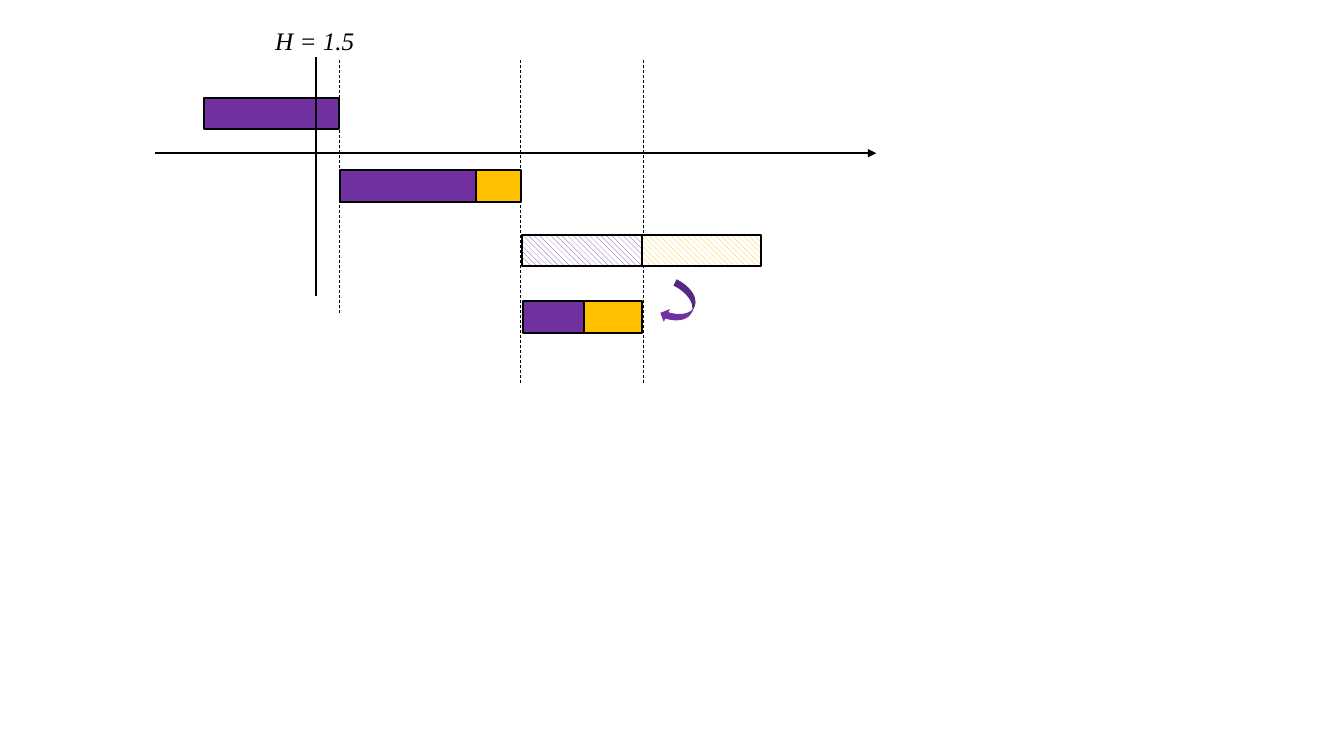
from dataclasses import dataclass

from lxml import etree
from pptx import Presentation
from pptx import util as u
from pptx.dml import color
from pptx.enum import dml, shapes, text
from pptx.oxml import ns

PURPLE, AMBER, BLACK, WHITE = "7030A0", "FFC000", "000000", "FFFFFF"
BAR_HEIGHT = 0.31
GUIDE_TOP = 0.6


@dataclass
class Segment:
    width: float
    colour: str


@dataclass
class Bar:
    left: float
    top: float
    segments: list[Segment]
    hatched: bool = False


@dataclass
class Rule:
    x1: float
    y1: float
    x2: float
    y2: float
    weight: float = 1.5
    dashed: bool = False
    arrow: bool = False


def rgb(value: str) -> color.RGBColor:
    return color.RGBColor.from_string(value)


def draw_bar(slide, bar: Bar) -> None:
    left = bar.left
    for segment in bar.segments:
        block = slide.shapes.add_shape(
            shapes.MSO_SHAPE.RECTANGLE, u.Inches(left), u.Inches(bar.top),
            u.Inches(segment.width), u.Inches(BAR_HEIGHT))
        block.shadow.inherit = False
        if bar.hatched:
            block.fill.patterned()
            block.fill.pattern = dml.MSO_PATTERN.WIDE_DOWNWARD_DIAGONAL
            block.fill.fore_color.rgb = rgb(segment.colour)
            block.fill.back_color.rgb = rgb(WHITE)
        else:
            block.fill.solid()
            block.fill.fore_color.rgb = rgb(segment.colour)
        block.line.color.rgb = rgb(BLACK)
        block.line.width = u.Pt(1.5)
        left += segment.width


def draw_rule(slide, rule: Rule) -> None:
    connector = slide.shapes.add_connector(
        shapes.MSO_CONNECTOR.STRAIGHT, u.Inches(rule.x1), u.Inches(rule.y1),
        u.Inches(rule.x2), u.Inches(rule.y2))
    connector.line.color.rgb = rgb(BLACK)
    connector.line.width = u.Pt(rule.weight)
    if rule.dashed:
        connector.line.dash_style = dml.MSO_LINE.DASH
    if rule.arrow:
        etree.SubElement(connector.line._get_or_add_ln(), ns.qn("a:tailEnd"),
                         type="triangle")
    etree.SubElement(connector._element.spPr, ns.qn("a:effectLst"))


def draw_threshold_label(slide) -> None:
    label = slide.shapes.add_textbox(
        u.Inches(2.63), u.Inches(0.2), u.Inches(0.99), u.Inches(0.4))
    frame = label.text_frame
    frame.word_wrap = False
    frame.auto_size = text.MSO_AUTO_SIZE.SHAPE_TO_FIT_TEXT
    paragraph = frame.paragraphs[0]
    paragraph.text = "H = 1.5"
    paragraph.font.name = "Times New Roman"
    paragraph.font.size = u.Pt(18)
    paragraph.font.italic = True
    paragraph.font.color.rgb = rgb(BLACK)


def draw_shrink_arrow(slide) -> None:
    arrow = slide.shapes.add_shape(
        shapes.MSO_SHAPE.CURVED_LEFT_ARROW, u.Inches(6.6), u.Inches(2.81),
        u.Inches(0.28), u.Inches(0.44))
    arrow.rotation = 25.8
    arrow.shadow.inherit = False
    arrow.fill.solid()
    arrow.fill.fore_color.rgb = rgb(PURPLE)
    arrow.line.fill.background()


BARS = [
    Bar(2.02, 0.97, [Segment(1.34, PURPLE)]),
    Bar(3.37, 1.69, [Segment(1.35, PURPLE), Segment(0.45, AMBER)]),
    Bar(5.18, 2.33, [Segment(1.19, PURPLE), Segment(1.18, AMBER)], hatched=True),
    Bar(5.19, 2.99, [Segment(0.6, PURPLE), Segment(0.58, AMBER)]),
]
GUIDES = [
    Rule(x, GUIDE_TOP, x, bottom, weight=0.5, dashed=True)
    for x, bottom in [(3.37, 3.12), (5.16, 3.81), (6.38, 3.81)]
]
TIME_AXIS = Rule(1.54, 1.52, 8.69, 1.52, arrow=True)
THRESHOLD = Rule(3.13, 0.57, 3.13, 2.94)


def main() -> None:
    deck = Presentation()
    deck.slide_width, deck.slide_height = u.Inches(13.33), u.Inches(7.5)
    slide = deck.slides.add_slide(deck.slide_layouts[6])

    # Guides behind the bars
    for guide in GUIDES:
        draw_rule(slide, guide)

    # Bars and the arrow from the hatched bar to the shrunken one
    for bar in BARS:
        draw_bar(slide, bar)
    draw_shrink_arrow(slide)

    # Axis and threshold in front
    draw_rule(slide, TIME_AXIS)
    draw_rule(slide, THRESHOLD)
    draw_threshold_label(slide)

    deck.save("out.pptx")


if __name__ == "__main__":
    main()
